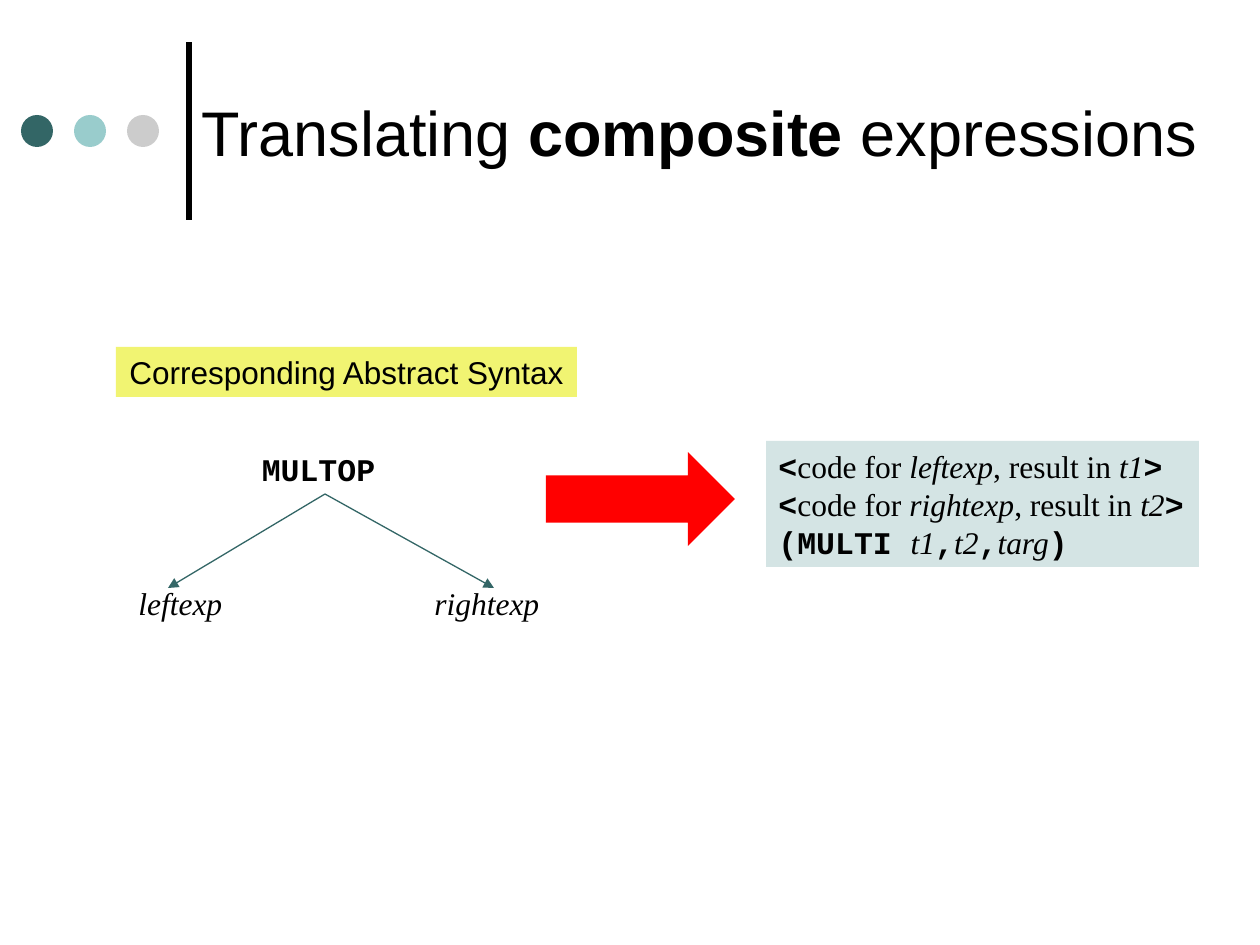
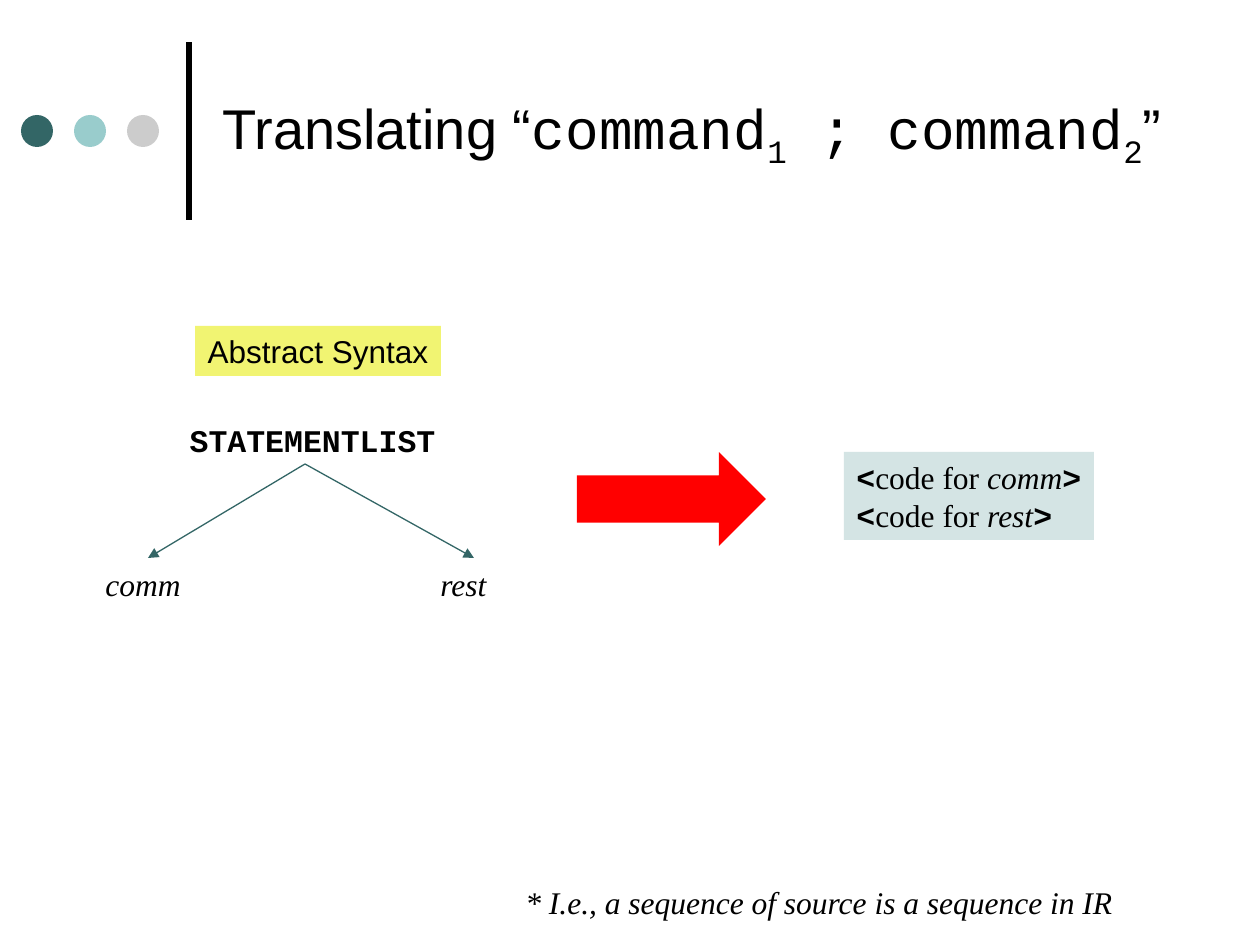
"""Build two slides that show how syntax trees translate to intermediate code."""
from dataclasses import dataclass
from typing import Any, Optional

from lxml import etree
from pptx import Presentation
from pptx import util as u
from pptx.dml.color import RGBColor
from pptx.enum import shapes, text
from pptx.oxml import ns

PX = u.Inches(1) / 126
SLIDE_SIZE = (1260, 945)

BLACK = RGBColor(0x00, 0x00, 0x00)
TEAL = RGBColor(0x33, 0x66, 0x66)
AQUA = RGBColor(0x99, 0xCC, 0xCC)
SILVER = RGBColor(0xCC, 0xCC, 0xCC)
YELLOW = RGBColor(0xF1, 0xF4, 0x72)
PALE_TEAL = RGBColor(0xD4, 0xE4, 0xE4)
RED = RGBColor(0xFF, 0x00, 0x00)

SANS = {"name": "Arial", "bold": False, "italic": False}
SANS_BOLD = {**SANS, "bold": True}
MONO = {**SANS, "name": "Courier New"}
CODE = {**MONO, "bold": True}
PROSE = {**SANS, "name": "Times New Roman"}
VARIABLE = {**PROSE, "italic": True}

LEFT, CENTER = text.PP_ALIGN.LEFT, text.PP_ALIGN.CENTER
LINE_HEIGHT, DOT, DOT_STEP = 50, 32, 53
BRANCHES = ((-157, 94), (169, 94))


@dataclass(frozen=True)
class Box:
    """Hold a position and size in px."""
    left: int
    top: int
    width: int
    height: int = LINE_HEIGHT


@dataclass(frozen=True)
class Run:
    """Hold a piece of text with its font style."""
    words: str
    style: dict[str, Any]
    subscript: bool = False


Lines = list[list[Run]]


@dataclass(frozen=True)
class Label:
    """Hold a fitted text block, filled or plain."""
    box: Box
    lines: Lines
    fill: Optional[RGBColor] = None
    align: text.PP_ALIGN = LEFT


@dataclass(frozen=True)
class Tree:
    """Hold a root label, the point it branches from and its leaves."""
    root: Label
    apex: tuple[int, int]
    leaves: list[Label]


@dataclass(frozen=True)
class Page:
    """Hold everything that differs between the slides."""
    title: list[Run]
    title_box: Box
    title_size: int
    tree: Tree
    arrow: Box
    labels: list[Label]


def px(length: float) -> u.Emu:
    """Turn px into EMU."""
    return u.Emu(round(length * PX))


def place(box: Box) -> tuple[u.Emu, ...]:
    """Return the box as EMU arguments."""
    return tuple(px(n) for n in (box.left, box.top, box.width, box.height))


def paint(shape: Any, color: RGBColor) -> None:
    """Fill a shape without outline or shadow."""
    shape.shadow.inherit = False
    shape.fill.solid()
    shape.fill.fore_color.rgb = color
    shape.line.fill.background()


def add_preset(slide: Any, kind: shapes.MSO_SHAPE, box: Box, color: RGBColor) -> Any:
    """Draw a filled preset shape."""
    shape = slide.shapes.add_shape(kind, *place(box))
    paint(shape, color)
    return shape


def add_line(slide: Any, start: tuple[int, int], end: tuple[int, int],
             color: RGBColor, width: float, arrow: bool = False) -> None:
    """Draw a straight line, with an arrowhead at its end if asked."""
    line = slide.shapes.add_connector(
        shapes.MSO_CONNECTOR.STRAIGHT, *(px(n) for n in (*start, *end)))
    line.line.color.rgb = color
    line.line.width = u.Pt(width)
    if arrow:
        etree.SubElement(line.line._get_or_add_ln(), ns.qn("a:tailEnd"), type="triangle")
    etree.SubElement(line._element.spPr, ns.qn("a:effectLst"))


def write(shape: Any, lines: Lines, size: int, align: text.PP_ALIGN,
          frame_format: dict[str, Any]) -> None:
    """Write styled lines into a shape."""
    frame = shape.text_frame
    for name, value in frame_format.items():
        setattr(frame, name, value)
    for index, line in enumerate(lines):
        paragraph = frame.add_paragraph() if index else frame.paragraphs[0]
        paragraph.alignment = align
        for piece in line:
            run = paragraph.add_run()
            run.text = piece.words
            for name, value in {**piece.style, "size": u.Pt(size)}.items():
                setattr(run.font, name, value)
            run.font.color.rgb = BLACK
            if piece.subscript:
                run._r.get_or_add_rPr().set("baseline", "-25000")


def add_label(slide: Any, label: Label) -> None:
    """Draw a text block that fits its words."""
    if label.fill is None:
        shape = slide.shapes.add_textbox(*place(label.box))
    else:
        shape = add_preset(slide, shapes.MSO_SHAPE.RECTANGLE, label.box, label.fill)
    write(shape, label.lines, 18, label.align, {
        "word_wrap": False,
        "auto_size": text.MSO_AUTO_SIZE.SHAPE_TO_FIT_TEXT,
        "vertical_anchor": text.MSO_ANCHOR.TOP,
    })


def add_tree(slide: Any, tree: Tree) -> None:
    """Draw a root, its two branches and its leaves."""
    for label in (tree.root, *tree.leaves):
        add_label(slide, label)
    x, y = tree.apex
    for across, down in BRANCHES:
        add_line(slide, tree.apex, (x + across, y + down), TEAL, 0.75, arrow=True)


def add_header(slide: Any, page: Page) -> None:
    """Draw the rule, the three dots and the title."""
    add_line(slide, (189, 220), (189, 42), BLACK, 3)
    for index, color in enumerate((TEAL, AQUA, SILVER)):
        dot = Box(21 + index * DOT_STEP, 115, DOT, DOT)
        add_preset(slide, shapes.MSO_SHAPE.OVAL, dot, color)
    title = slide.shapes.add_textbox(*place(page.title_box))
    write(title, [page.title], page.title_size, LEFT, {
        "word_wrap": True, "vertical_anchor": text.MSO_ANCHOR.MIDDLE})


def add_page(presentation: Any, page: Page) -> None:
    """Add one slide."""
    slide = presentation.slides.add_slide(presentation.slide_layouts[6])
    add_header(slide, page)
    add_tree(slide, page.tree)
    for label in page.labels:
        add_label(slide, label)
    add_preset(slide, shapes.MSO_SHAPE.RIGHT_ARROW, page.arrow, RED)


def code_for(name: str, result: str = "") -> list[Run]:
    """Return a line that stands for the code of a subtree."""
    middle = [Run(", result in ", PROSE), Run(result, VARIABLE)] if result else []
    return [Run("<", CODE), Run("code for ", PROSE), Run(name, VARIABLE),
            *middle, Run(">", CODE)]


def leaf(name: str, box: Box) -> Label:
    """Return a leaf label."""
    return Label(box, [[Run(name, VARIABLE)]])


def root(name: str, box: Box) -> Label:
    """Return a root label."""
    return Label(box, [[Run(name, CODE)]], align=CENTER)


def caption(words: str, box: Box) -> Label:
    """Return a yellow caption."""
    return Label(box, [[Run(words, SANS)]], YELLOW, CENTER)


PAGES = [
    Page(
        title=[Run("Translating ", SANS), Run("composite", SANS_BOLD),
               Run(" expressions", SANS)],
        title_box=Box(189, 26, 1029, 210),
        title_size=36,
        tree=Tree(root("MULTOP", Box(249, 444, 139)), (325, 494),
                  [leaf("leftexp", Box(126, 578, 110)),
                   leaf("rightexp", Box(422, 578, 132))]),
        arrow=Box(546, 452, 189, 94),
        labels=[
            caption("Corresponding Abstract Syntax", Box(116, 347, 461)),
            Label(Box(766, 441, 433, 126), [
                code_for("leftexp", "t1"),
                code_for("rightexp", "t2"),
                [Run("(MULTI ", CODE), Run("t1", VARIABLE), Run(",", CODE),
                 Run("t2", VARIABLE), Run(",", CODE), Run("targ", VARIABLE),
                 Run(")", CODE)],
            ], PALE_TEAL),
        ],
    ),
    Page(
        title=[Run("Translating “", SANS), Run("command", MONO), Run("1", MONO, True),
               Run(" ; command", MONO), Run("2", MONO, True), Run("”", SANS)],
        title_box=Box(210, 27, 998, 210),
        title_size=32,
        tree=Tree(root("STATEMENTLIST", Box(177, 415, 271)), (305, 464),
                  [leaf("comm", Box(93, 559, 102)),
                   leaf("rest", Box(428, 559, 72))]),
        arrow=Box(577, 452, 189, 94),
        labels=[
            caption("Abstract Syntax", Box(195, 326, 246)),
            Label(Box(844, 452, 250, 88), [code_for("comm"), code_for("rest")],
                  PALE_TEAL),
            Label(Box(513, 877, 614), [
                [Run("* I.e., a sequence of source is a sequence in IR", VARIABLE)]]),
        ],
    ),
]


def main() -> None:
    """Build and save the presentation."""
    presentation = Presentation()
    presentation.slide_width, presentation.slide_height = map(px, SLIDE_SIZE)
    for page in PAGES:
        add_page(presentation, page)
    presentation.save("out.pptx")


if __name__ == "__main__":
    main()
